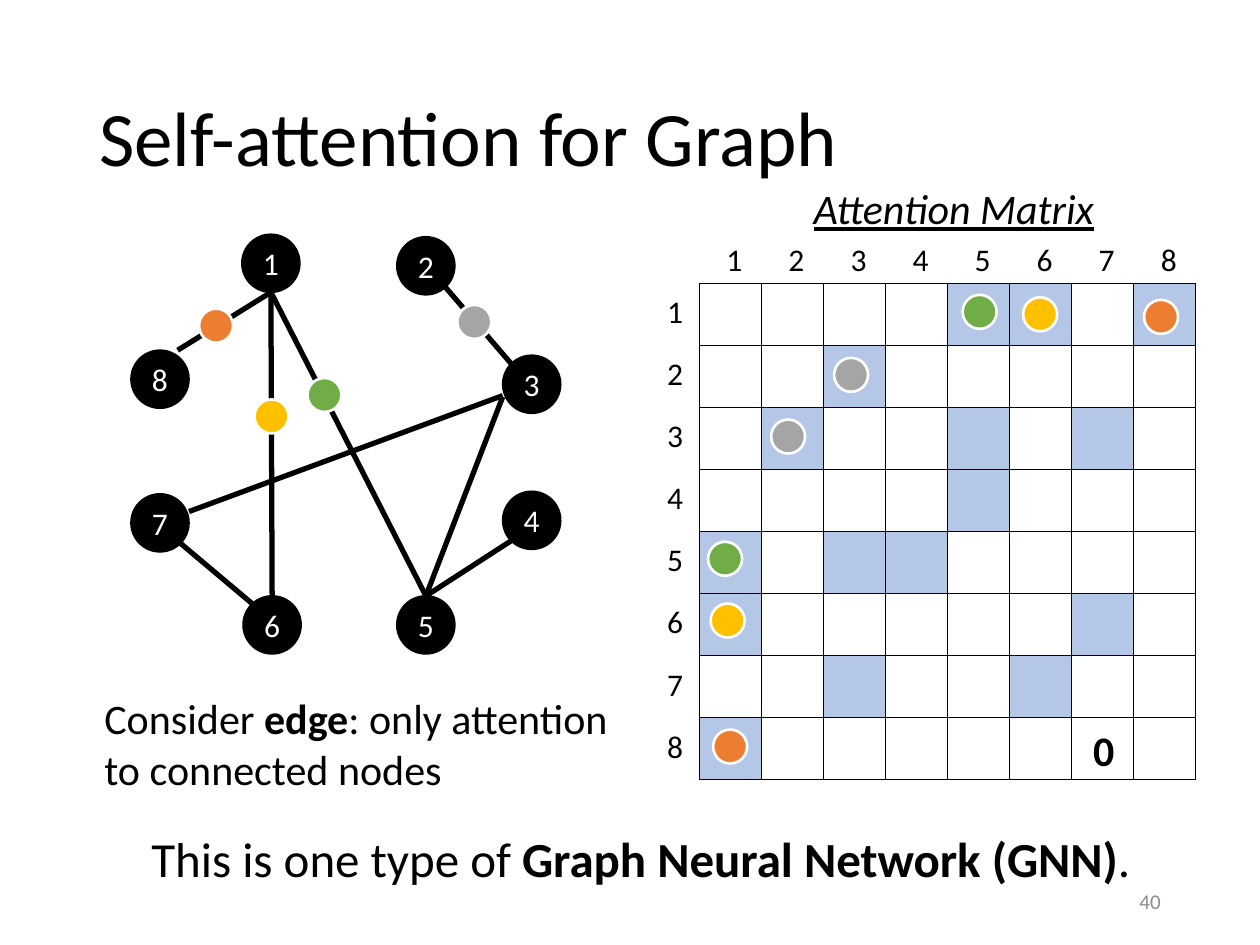
"""Build the slide on self-attention for graphs."""
from lxml import etree
from pptx import Presentation
from pptx.dml.color import RGBColor
from pptx.enum import shapes, text
from pptx.oxml import ns
from pptx.util import Inches, Pt

BLACK = RGBColor(0x00, 0x00, 0x00)
WHITE = RGBColor(0xFF, 0xFF, 0xFF)
GREY = RGBColor(0x8C, 0x8C, 0x8C)
ATTENDED = RGBColor(0xB4, 0xC7, 0xE7)
ORANGE = RGBColor(0xED, 0x7D, 0x31)
YELLOW = RGBColor(0xFF, 0xC0, 0x00)
GREEN = RGBColor(0x70, 0xAD, 0x47)
SILVER = RGBColor(0xA5, 0xA5, 0xA5)
FONT = "Calibri"
LEFT, CENTER, RIGHT = text.PP_ALIGN.LEFT, text.PP_ALIGN.CENTER, text.PP_ALIGN.RIGHT
TOP, MIDDLE = text.MSO_ANCHOR.TOP, text.MSO_ANCHOR.MIDDLE

NODE_SIZE, DOT_SIZE = 0.46, 0.27
NODES = {
    1: (1.92, 1.86), 2: (3.15, 1.88), 3: (3.99, 2.82), 4: (3.99, 3.9),
    5: (3.15, 4.73), 6: (1.93, 4.73), 7: (1.04, 3.92), 8: (1.04, 2.78),
}
EDGES = {
    (1, 5): (2.15, 2.32, 3.38, 4.73),
    (1, 6): (2.15, 2.32, 2.16, 4.73),
    (1, 8): (2.15, 2.32, 1.41, 2.78),
    (2, 3): (3.51, 2.25, 4.06, 2.89),
    (3, 5): (3.99, 3.15, 3.38, 4.73),
    (3, 7): (3.99, 3.14, 1.5, 4.06),
    (4, 5): (4.06, 4.29, 3.38, 4.73),
    (6, 7): (2, 4.79, 1.43, 4.31),
}
DOTS = [
    (ORANGE, [(1.58, 2.45), (9.08, 2.38), (5.66, 5.79)]),
    (YELLOW, [(2.02, 3.17), (8.12, 2.36), (5.64, 4.79)]),
    (GREEN, [(2.44, 3), (7.64, 2.34), (5.62, 4.3)]),
    (SILVER, [(3.63, 2.42), (6.62, 2.84), (6.12, 3.33)]),
]
MATRIX_LEFT, MATRIX_TOP, MATRIX_SIZE = 5.55, 2.25, 3.94
CELL = MATRIX_SIZE / len(NODES)
TEXTS = [
    ((0.69, 0.4, 8.62, 1.45), ["Self-attention for Graph"], 44, LEFT, MIDDLE, BLACK),
    ((0.73, 5.45, 4.43, 0.91),
     ["Consider ", "edge", ": only attention to connected nodes"], 24, LEFT, TOP, BLACK),
    ((0.29, 6.53, 9.59, 0.57),
     ["This is one type of ", "Graph Neural Network (GNN)", "."], 28, CENTER, TOP, BLACK),
    ((7.06, 6.95, 2.25, 0.4), ["40"], 12, RIGHT, MIDDLE, GREY),
    ((8.54, 5.7, 0.44, 0.5), ["", "0"], 24, CENTER, TOP, BLACK),
]


def write(frame, parts, size, align, anchor, color):
    """Fill a frame, with every second part in bold."""
    frame.vertical_anchor = anchor
    paragraph = frame.paragraphs[0]
    paragraph.alignment = align
    for index, part in enumerate(parts):
        if part:
            run = paragraph.add_run()
            run.text = part
            run.font.name, run.font.size = FONT, Pt(size)
            run.font.bold = index % 2 == 1
            run.font.color.rgb = color
    return paragraph


def add_text(slide, place, *style):
    """Add a wrapping text box and return its paragraph."""
    frame = slide.shapes.add_textbox(*map(Inches, place)).text_frame
    frame.word_wrap = True
    return write(frame, *style)


def add_circle(slide, place, size, fill, line, width):
    """Add a filled circle."""
    circle = slide.shapes.add_shape(
        shapes.MSO_SHAPE.OVAL, *map(Inches, (*place, size, size)))
    circle.shadow.inherit = False
    circle.fill.solid()
    circle.fill.fore_color.rgb = fill
    circle.line.color.rgb = line
    circle.line.width = Pt(width)
    return circle


def add_edge(slide, ends):
    """Add a plain black line between two points."""
    edge = slide.shapes.add_connector(shapes.MSO_CONNECTOR.STRAIGHT, *map(Inches, ends))
    edge.line.color.rgb = BLACK
    edge.line.width = Pt(3)
    etree.SubElement(edge._element.spPr, ns.qn("a:effectLst"))


def add_border(cell):
    """Draw a thin black line on all four sides of a cell."""
    properties = cell._tc.get_or_add_tcPr()
    for side in ("a:lnL", "a:lnR", "a:lnT", "a:lnB"):
        line = etree.SubElement(properties, ns.qn(side), w=str(Pt(1)))
        fill = etree.SubElement(line, ns.qn("a:solidFill"))
        etree.SubElement(fill, ns.qn("a:srgbClr"), val=str(BLACK))


def add_matrix(slide):
    """Add the attention matrix, shading the cells of connected nodes."""
    count = len(NODES)
    matrix = slide.shapes.add_table(
        count, count, *map(Inches, (MATRIX_LEFT, MATRIX_TOP, MATRIX_SIZE, MATRIX_SIZE))).table
    for row in NODES:
        matrix.rows[row - 1].height = Inches(CELL)
        matrix.columns[row - 1].width = Inches(CELL)
        for column in NODES:
            cell = matrix.cell(row - 1, column - 1)
            add_border(cell)
            cell.fill.solid()
            connected = (min(row, column), max(row, column)) in EDGES
            cell.fill.fore_color.rgb = ATTENDED if connected else WHITE
    for node in NODES:
        step = (node - 1) * CELL
        for left, top in ((5.08, 2.27 + step), (MATRIX_LEFT + step, 1.86)):
            add_text(slide, (left, top, 0.44, 0.4), [str(node)], 18, RIGHT, TOP, BLACK)


def main():
    """Assemble and save the slide."""
    deck = Presentation()
    deck.slide_width, deck.slide_height = Inches(10), Inches(7.5)
    slide = deck.slides.add_slide(deck.slide_layouts[6])
    add_matrix(slide)
    for place, *style in TEXTS:
        paragraph = add_text(slide, place, *style)
        if style[1] == 44:
            paragraph.line_spacing = 0.9
    heading = add_text(slide, (5.83, 1.4, 3.48, 0.5), ["Attention Matrix"],
                       24, CENTER, TOP, BLACK).runs[0].font
    heading.italic = heading.underline = True
    for node, place in NODES.items():
        circle = add_circle(slide, place, NODE_SIZE, BLACK, BLACK, 1)
        circle.text_frame.word_wrap = False
        write(circle.text_frame, [str(node)], 18, CENTER, MIDDLE, WHITE)
    for ends in EDGES.values():
        add_edge(slide, ends)
    for color, places in DOTS:
        for place in places:
            add_circle(slide, place, DOT_SIZE, color, WHITE, 1.5)
    deck.save("out.pptx")


if __name__ == "__main__":
    main()
